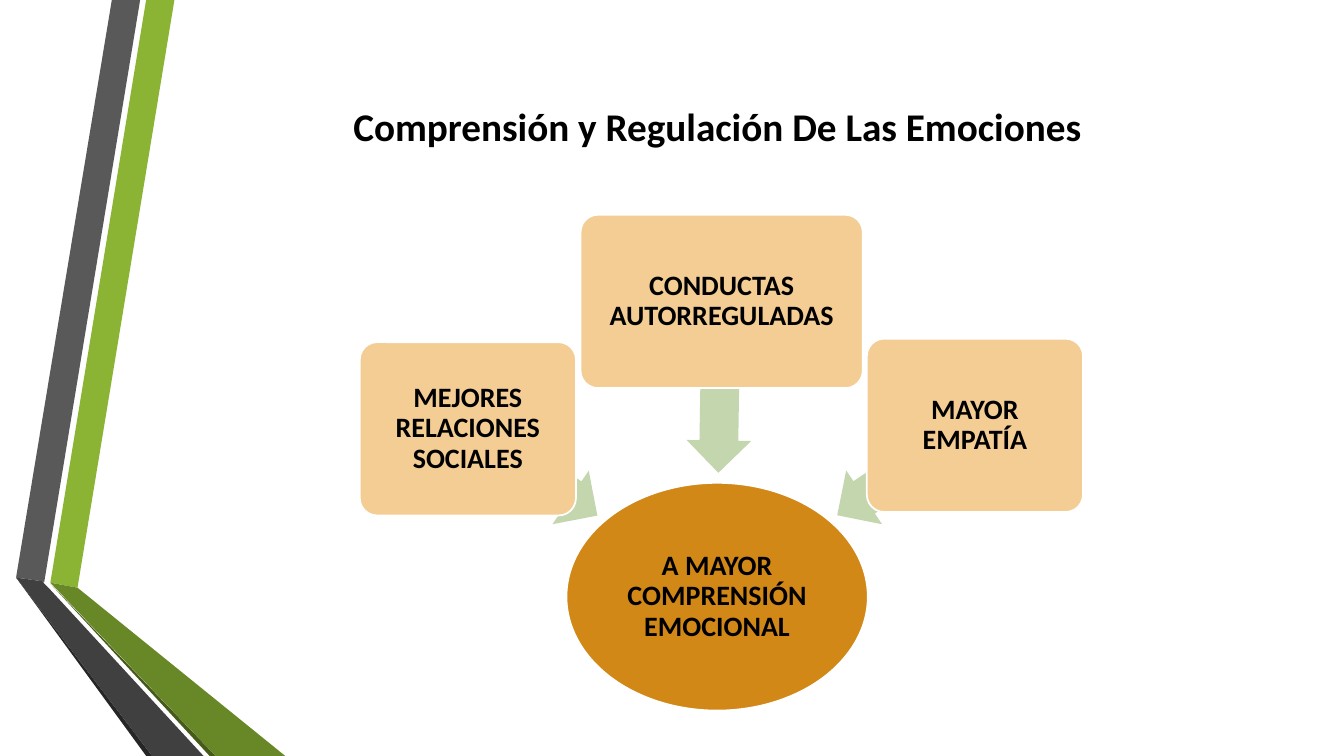
import pptx
import pptx.util
import pptx.dml.color
import pptx.enum.shapes
import pptx.enum.text

Pt = pptx.util.Pt
SHAPES = pptx.enum.shapes.MSO_SHAPE

WIDTH, HEIGHT = 960, 540
FONT = "Calibri"
COLORS = {
    "text": "000000", "outline": "FFFFFF",
    "result": "F3CD93", "cause": "D18817", "arrow": "C4D6AE",
    "green": "8BB434", "green shade": "688727", "green edge": "465A1A",
    "gray": "595959", "gray shade": "404040", "gray edge": "262626",
}

TITLE = "Comprensión y Regulación De Las Emociones"
TITLE_BOX = (237.6, 28.8, 549.4, 122.4)
CAUSE = "A MAYOR COMPRENSIÓN EMOCIONAL"
CAUSE_BOX = (404.6, 344.9, 215.3, 162.7)

RESULT_HEIGHT = 123.8
ARROW_HEIGHT = 46.2
# text, (left, top, width), arrow (center x, center y, length, rotation)
RESULTS = [
    ("MEJORES RELACIONES SOCIALES", (257, 244.4, 154.4), (380.5, 337, 111.6, 214.1)),
    ("CONDUCTAS AUTORREGULADAS", (414.7, 153.4, 201.6), (514.1, 276.5, 122.4, 270.9)),
    ("MAYOR EMPATÍA", (619.2, 241.9, 154.4), (646.9, 335.5, 117.4, 326.3)),
]

RIBBONS = [
    ("green", [(36, 416.2), (55.4, 419.8), (124.6, 0), (104.4, 0)]),
    ("gray", [(100.1, 0), (79.9, 0), (11.5, 412.6), (31.7, 415.4)]),
    ("gray edge", [(11.5, 412.6), (104.4, HEIGHT), (108.7, HEIGHT)]),
    ("green edge", [(36, 416.9), (149.8, HEIGHT), (154.1, HEIGHT)]),
    ("green shade", [(36, 416.2), (154.1, HEIGHT), (203.8, HEIGHT), (55.4, 419.8)]),
    ("gray shade", [(145.4, HEIGHT), (34.6, 419.8), (31, 416.2), (31.7, 415.4),
                    (11.5, 412.6), (108.7, HEIGHT)]),
]


def rgb(name):
    return pptx.dml.color.RGBColor.from_string(COLORS[name])


def paint(shape, color, outlined=False):
    shape.shadow.inherit = False
    shape.fill.solid()
    shape.fill.fore_color.rgb = rgb(color)
    if outlined:
        shape.line.color.rgb = rgb("outline")
        shape.line.width = Pt(1.25)
    else:
        shape.line.fill.background()


def write(shape, text, size, inset=None, line_spacing=None):
    """Put one bold, centered paragraph in the middle of the shape."""
    frame = shape.text_frame
    frame.word_wrap = True
    frame.vertical_anchor = pptx.enum.text.MSO_ANCHOR.MIDDLE
    if inset is not None:
        frame.margin_left = frame.margin_right = Pt(inset)
        frame.margin_top = frame.margin_bottom = Pt(inset)
    paragraph = frame.paragraphs[0]
    paragraph.text = text
    paragraph.alignment = pptx.enum.text.PP_ALIGN.CENTER
    if line_spacing:
        paragraph.line_spacing = line_spacing
    paragraph.font.name = FONT
    paragraph.font.size = Pt(size)
    paragraph.font.bold = True
    paragraph.font.color.rgb = rgb("text")


def add_ribbon(slide, color, points):
    start, *others = [(Pt(x), Pt(y)) for x, y in points]
    builder = slide.shapes.build_freeform(*start)
    builder.add_line_segments(others, close=True)
    paint(builder.convert_to_shape(), color)


def add_label(slide, kind, box, color, text, inset):
    shape = slide.shapes.add_shape(kind, *map(Pt, box))
    if kind == SHAPES.ROUNDED_RECTANGLE:
        shape.adjustments[0] = 0.1
    paint(shape, color, outlined=True)
    write(shape, text, 20, inset, line_spacing=0.9)


def add_arrow(slide, center_x, center_y, length, rotation):
    arrow = slide.shapes.add_shape(
        SHAPES.LEFT_ARROW, Pt(center_x - length / 2), Pt(center_y - ARROW_HEIGHT / 2),
        Pt(length), Pt(ARROW_HEIGHT))
    arrow.adjustments[0] = 0.6
    arrow.adjustments[1] = 0.5
    arrow.rotation = rotation
    paint(arrow, "arrow")


def main():
    presentation = pptx.Presentation()
    presentation.slide_width = Pt(WIDTH)
    presentation.slide_height = Pt(HEIGHT)
    slide = presentation.slides.add_slide(presentation.slide_layouts[6])

    for color, points in RIBBONS:
        add_ribbon(slide, color, points)
    write(slide.shapes.add_textbox(*map(Pt, TITLE_BOX)), TITLE, 28)

    add_label(slide, SHAPES.OVAL, CAUSE_BOX, "cause", CAUSE, inset=1)
    for text, box, arrow in RESULTS:
        add_arrow(slide, *arrow)
        add_label(slide, SHAPES.ROUNDED_RECTANGLE, (*box, RESULT_HEIGHT),
                  "result", text, inset=3)

    presentation.save("out.pptx")


if __name__ == "__main__":
    main()
